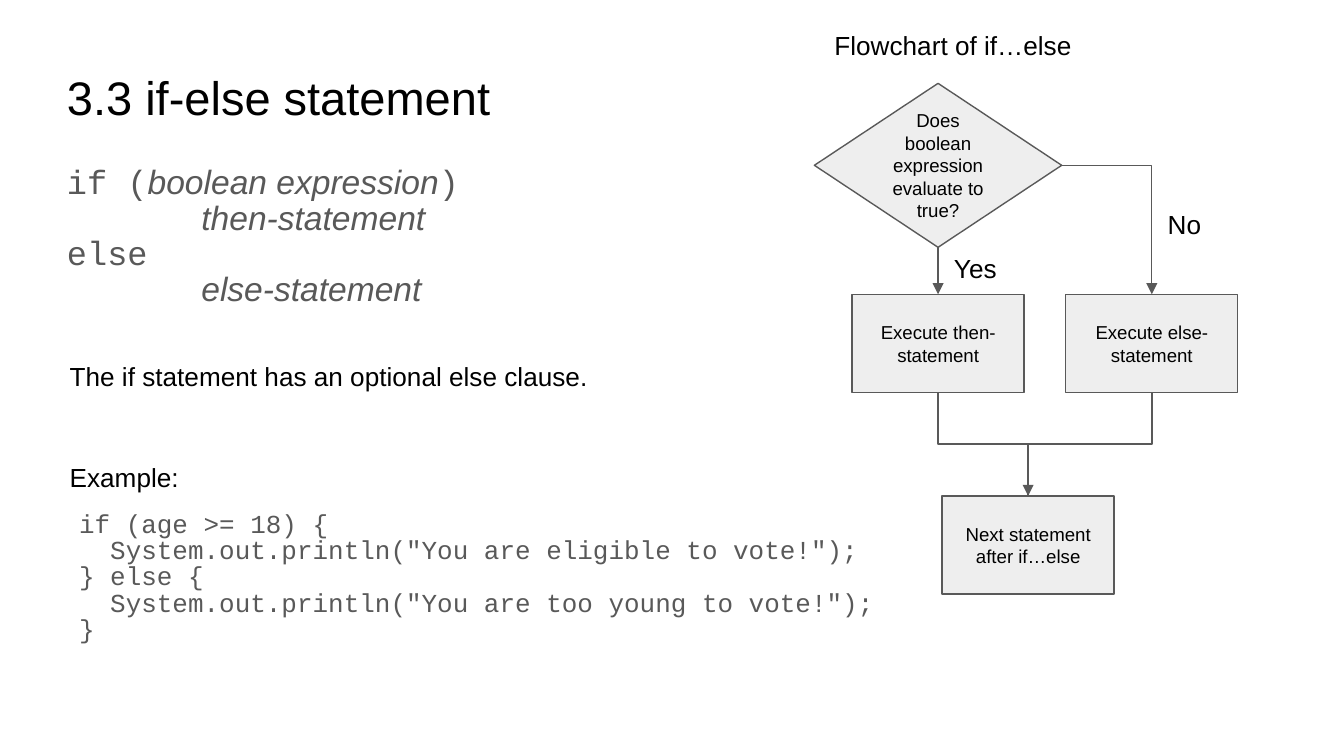
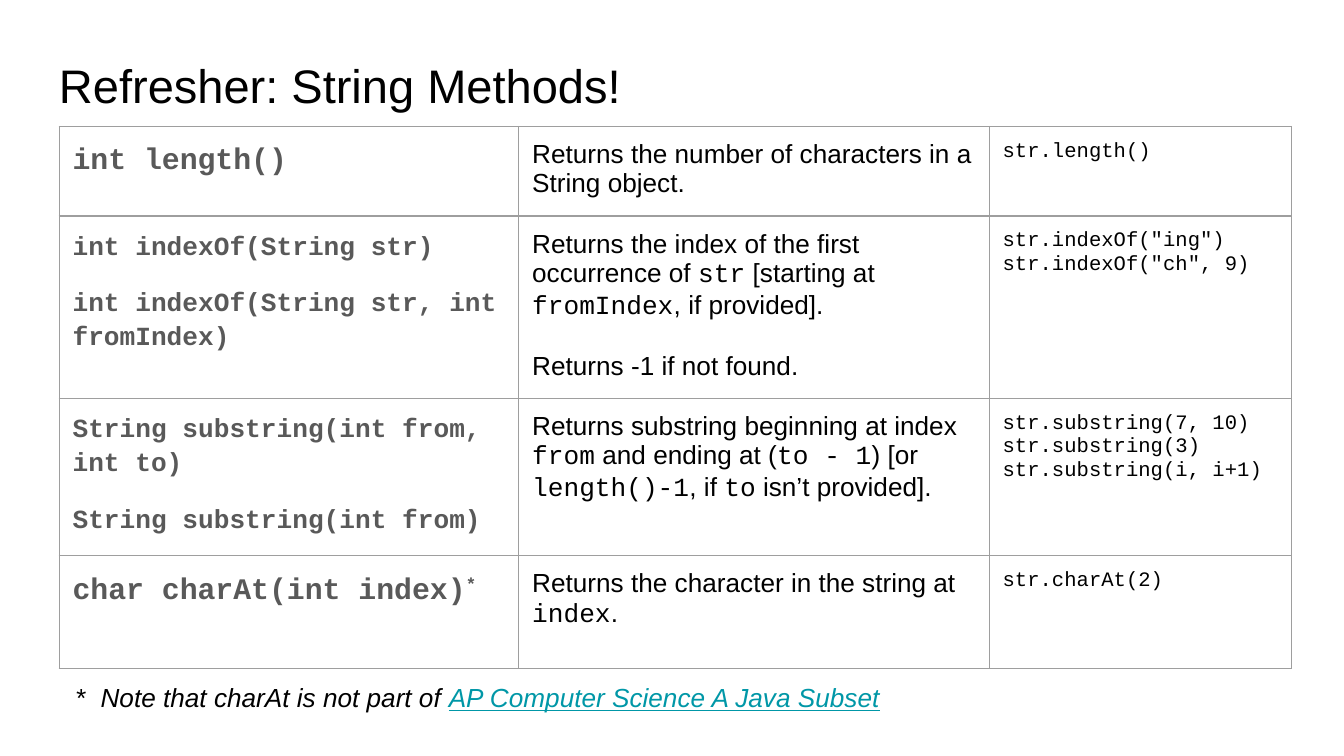
from dataclasses import dataclass

from lxml import etree
from pptx import Presentation
from pptx.dml.color import RGBColor
from pptx.enum.shapes import MSO_CONNECTOR, MSO_SHAPE
from pptx.enum.text import MSO_ANCHOR, PP_ALIGN
from pptx.oxml.ns import qn
from pptx.util import Inches, Pt

STRAIGHT, ELBOW = MSO_CONNECTOR.STRAIGHT, MSO_CONNECTOR.ELBOW
DECISION, RECTANGLE = MSO_SHAPE.FLOWCHART_DECISION, MSO_SHAPE.RECTANGLE
CENTER, MIDDLE = PP_ALIGN.CENTER, MSO_ANCHOR.MIDDLE
TOP, BOTTOM = 0, 2


@dataclass(frozen=True)
class Theme:
    """Colours, fonts and type sizes shared by the slides."""
    ink: str = "000000"
    grey: str = "595959"
    panel: str = "EEEEEE"
    border: str = "9E9E9E"
    link: str = "0097A7"
    sans: str = "Arial"
    mono: str = "Courier New"
    title: float = 25.2
    syntax: float = 18
    signature: float = 16
    body: float = 14
    listing: float = 13.9
    call: float = 11
    node: float = 10
    hairline: float = 0.75


THEME = Theme()
BODY = {"name": THEME.sans, "size": THEME.body, "color": THEME.ink}
TITLE = {**BODY, "size": THEME.title}
NODE = {**BODY, "size": THEME.node}
CALL = {**BODY, "name": THEME.mono, "size": THEME.call}
SYNTAX = {"name": THEME.mono, "size": THEME.syntax, "color": THEME.grey}
LISTING = {**SYNTAX, "size": THEME.listing}
SIGNATURE = {**SYNTAX, "size": THEME.body, "bold": True}
MAIN_SIGNATURE = {**SIGNATURE, "size": THEME.signature}
SLOT = {"name": THEME.sans, "italic": True}


def para(*runs, indent=0, hanging=0, **layout):
    """Describe a paragraph by its runs, indents and layout values."""
    runs = [(run, {}) if isinstance(run, str) else run for run in runs]
    return {"runs": runs, "indent": indent, "hanging": hanging, "layout": layout}


def prose(text, **layout):
    """Describe a paragraph whose parts between backticks are code."""
    parts = enumerate(text.split("`"))
    return para(*[(part, {"name": THEME.mono} if i % 2 else {}) for i, part in parts],
                **layout)


def style_run(run, look):
    """Apply a look to a run."""
    look = dict(look)
    run.font.color.rgb = RGBColor.from_string(look.pop("color"))
    run.font.size = Pt(look.pop("size"))
    baseline = look.pop("baseline", None)
    for key, value in look.items():
        setattr(run.font, key, value)
    if baseline:
        run._r.get_or_add_rPr().set("baseline", baseline)


def write(frame, paragraphs, look):
    """Fill a text frame with paragraphs in one basic look."""
    frame.word_wrap = True
    for i, item in enumerate(paragraphs):
        paragraph = frame.add_paragraph() if i else frame.paragraphs[0]
        if item["indent"]:
            properties = paragraph._p.get_or_add_pPr()
            properties.set("marL", str(Inches(item["indent"])))
            properties.set("indent", str(-Inches(item["hanging"])))
        for key, value in item["layout"].items():
            setattr(paragraph, key, value)
        for text, changes in item["runs"]:
            run = paragraph.add_run()
            run.text = text
            style_run(run, {**look, **changes})


def set_insets(holder):
    """Give a frame or cell equal insets."""
    for side in ("left", "right", "top", "bottom"):
        setattr(holder, f"margin_{side}", Inches(0.1))


def add_text(slide, box, paragraphs, look=BODY):
    """Add a text box."""
    frame = slide.shapes.add_textbox(*map(Inches, box)).text_frame
    set_insets(frame)
    write(frame, paragraphs, look)


def add_node(slide, kind, box, label):
    """Add a flowchart node with a centred label."""
    node = slide.shapes.add_shape(kind, *map(Inches, box))
    node.shadow.inherit = False
    node.fill.solid()
    node.fill.fore_color.rgb = RGBColor.from_string(THEME.panel)
    node.line.color.rgb = RGBColor.from_string(THEME.grey)
    node.line.width = Pt(THEME.hairline)
    set_insets(node.text_frame)
    node.text_frame.vertical_anchor = MIDDLE
    write(node.text_frame, [para(label, alignment=CENTER)], NODE)
    return node


def add_link(slide, kind, start, end, arrow=True):
    """Add a flowchart line, with an arrowhead if wanted."""
    link = slide.shapes.add_connector(kind, *map(Inches, (*start, *end)))
    link.line.color.rgb = RGBColor.from_string(THEME.grey)
    link.line.width = Pt(THEME.hairline)
    properties = link._element.spPr
    if arrow:
        etree.SubElement(properties.find(qn("a:ln")), qn("a:tailEnd"), type="triangle")
    etree.SubElement(properties, qn("a:effectLst"))
    return link


def add_corner(slide, start, end):
    """Add an arrow that runs across and then down."""
    corner = add_link(slide, ELBOW, start, end)
    corner._element.spPr.find(qn("a:prstGeom")).set("prst", "bentConnector2")


def add_merge(slide, start, end, arrow):
    """Add an elbow that runs down, across and down again."""
    middle_x, middle_y = (start[0] + end[0]) / 2, (start[1] + end[1]) / 2
    half_run, half_drop = abs(end[0] - start[0]) / 2, (end[1] - start[1]) / 2
    rightward = end[0] > start[0]
    reach = -half_drop if rightward else half_drop
    merge = add_link(slide, ELBOW, (middle_x - reach, middle_y - half_run),
                     (middle_x + reach, middle_y + half_run), arrow)
    turn = 270 if rightward else 90
    merge._element.spPr.find(qn("a:xfrm")).set("rot", str(turn * 60000))


def style_cell(cell):
    """Give a table cell thin borders, insets and no fill."""
    set_insets(cell)
    properties = cell._tc.get_or_add_tcPr()
    for side in ("lnL", "lnR", "lnT", "lnB"):
        line = etree.SubElement(properties, qn(f"a:{side}"), w=str(Pt(THEME.hairline)))
        fill = etree.SubElement(line, qn("a:solidFill"))
        etree.SubElement(fill, qn("a:srgbClr"), val=THEME.border)
    cell.fill.background()


def add_grid(slide, left, top, widths, heights, rows):
    """Add a table whose cells are pairs of paragraphs and look."""
    table = slide.shapes.add_table(
        len(heights), len(widths), Inches(left), Inches(top),
        Inches(sum(widths)), Inches(sum(heights))).table
    table.first_row = table.horz_banding = False
    for column, width in zip(table.columns, widths):
        column.width = Inches(width)
    for row, height, contents in zip(table.rows, heights, rows):
        row.height = Inches(height)
        for cell, (paragraphs, look) in zip(row.cells, contents):
            style_cell(cell)
            write(cell.text_frame, paragraphs, look)


def tight(lines, spacing):
    """Set close line spacing on a list of paragraphs."""
    for i, line in enumerate(lines):
        line["layout"].update(line_spacing=spacing, space_before=Pt(4 if i else 0))
    return lines


def signatures(*texts):
    """Describe the method signatures of one table cell."""
    last = len(texts) - 1
    return [para(text, line_spacing=1.15, space_before=Pt(12 if i else 0),
                 space_after=Pt(12 if i == last else 0)) for i, text in enumerate(texts)]


def calls(*texts):
    """Describe the sample calls of one table cell."""
    return [para(text) for text in texts], CALL


def add_flowchart(slide):
    """Draw the if-else flowchart."""
    width, height = 1.28, 0.73
    then_x, else_x, next_x = 6.34, 7.93, 7.01
    branch_y, next_y = 2.19, 3.69
    then_mid, else_mid, next_mid = (x + width / 2 for x in (then_x, else_x, next_x))
    question = add_node(slide, DECISION, (6.06, 0.62, 1.84, 1.22),
                        "Does boolean expression evaluate to true?")
    then_node = add_node(slide, RECTANGLE, (then_x, branch_y, width, height),
                         "Execute then-statement")
    add_node(slide, RECTANGLE, (next_x, next_y, width, height),
             "Next statement after if…else")
    add_node(slide, RECTANGLE, (else_x, branch_y, width, height),
             "Execute else-statement")
    yes = add_link(slide, STRAIGHT, (then_mid, 1.84), (then_mid, branch_y))
    yes.begin_connect(question, BOTTOM)
    yes.end_connect(then_node, TOP)
    add_corner(slide, (7.9, 1.23), (else_mid, branch_y))
    for middle, arrow in ((then_mid, False), (else_mid, True)):
        add_merge(slide, (middle, branch_y + height), (next_mid, next_y), arrow)
    for label, box in (("Yes", (7, 1.78, 0.53, 0.44)),
                       ("No", (8.59, 1.45, 0.53, 0.44)),
                       ("Flowchart of if…else", (6.11, 0.12, 3.28, 0.44))):
        add_text(slide, box, [para(label)])


def build_if_else(slide):
    """Build the slide on the if-else statement."""
    add_text(slide, (0.4, 0.41, 3.76, 0.63), [para("3.3 if-else statement")], TITLE)
    add_text(slide, (0.4, 1.18, 3.84, 1.38), tight([
        para("if (", ("boolean expression", SLOT), ")"),
        para(("then-statement", SLOT), indent=1),
        para("else"),
        para(("else-statement", SLOT), indent=1),
    ], 0.7), SYNTAX)
    add_flowchart(slide)
    example = ("if (age >= 18) {",
               '  System.out.println("You are eligible to vote!");',
               "} else {",
               '  System.out.println("You are too young to vote!");',
               "}")
    add_text(slide, (0.49, 3.76, 6.33, 1.38),
             tight([para(line) for line in example], 0.6), LISTING)
    for top, text in ((2.58, "The if statement has an optional else clause."),
                      (3.33, "Example:")):
        add_text(slide, (0.42, top, 4.43, 0.44), [para(text)])


def build_string_methods(slide):
    """Build the slide with the table of String methods."""
    add_text(slide, (0.34, 0.32, 9.32, 0.63), [para("Refresher: String Methods!")], TITLE)
    char_at = signatures("char charAt(int index)")
    char_at[0]["runs"].append(("*", {"baseline": "30000"}))
    add_grid(slide, 0.44, 0.94, (3.42, 3.5, 2.25), (0.6, 0.9, 0.9, 0.84), [
        [(signatures("int length()"), MAIN_SIGNATURE),
         ([prose("Returns the number of characters in a String object.")], BODY),
         calls("str.length()")],
        [(signatures("int indexOf(String str)",
                     "int indexOf(String str, int fromIndex)"), SIGNATURE),
         ([prose("Returns the index of the first occurrence of `str` "
                 "[starting at `fromIndex`, if provided]."),
           prose("Returns -1 if not found.", space_before=Pt(16))], BODY),
         calls('str.indexOf("ing")', 'str.indexOf("ch", 9)')],
        [(signatures("String substring(int from, int to)",
                     "String substring(int from)"), SIGNATURE),
         ([prose("Returns substring beginning at index `from` and ending at "
                 "(`to - 1`) [or `length()-1`, if `to` isn’t provided].")], BODY),
         calls("str.substring(7, 10)", "str.substring(3)", "str.substring(i, i+1)")],
        [(char_at, MAIN_SIGNATURE),
         ([prose("Returns the character in the string at `index`.")], BODY),
         calls("str.charAt(2)")],
    ])
    add_text(slide, (0.46, 4.97, 8.68, 0.44), [
        para("*\tNote that charAt is not part of ",
             ("AP Computer Science A Java Subset",
              {"color": THEME.link, "underline": True}),
             indent=0.19, hanging=0.19)], {**BODY, "italic": True})


def main():
    """Build and save the presentation."""
    deck = Presentation()
    deck.slide_width = Inches(10)
    deck.slide_height = deck.slide_width * 9 // 16
    for build in (build_if_else, build_string_methods):
        build(deck.slides.add_slide(deck.slide_layouts[6]))
    deck.save("out.pptx")


if __name__ == "__main__":
    main()
